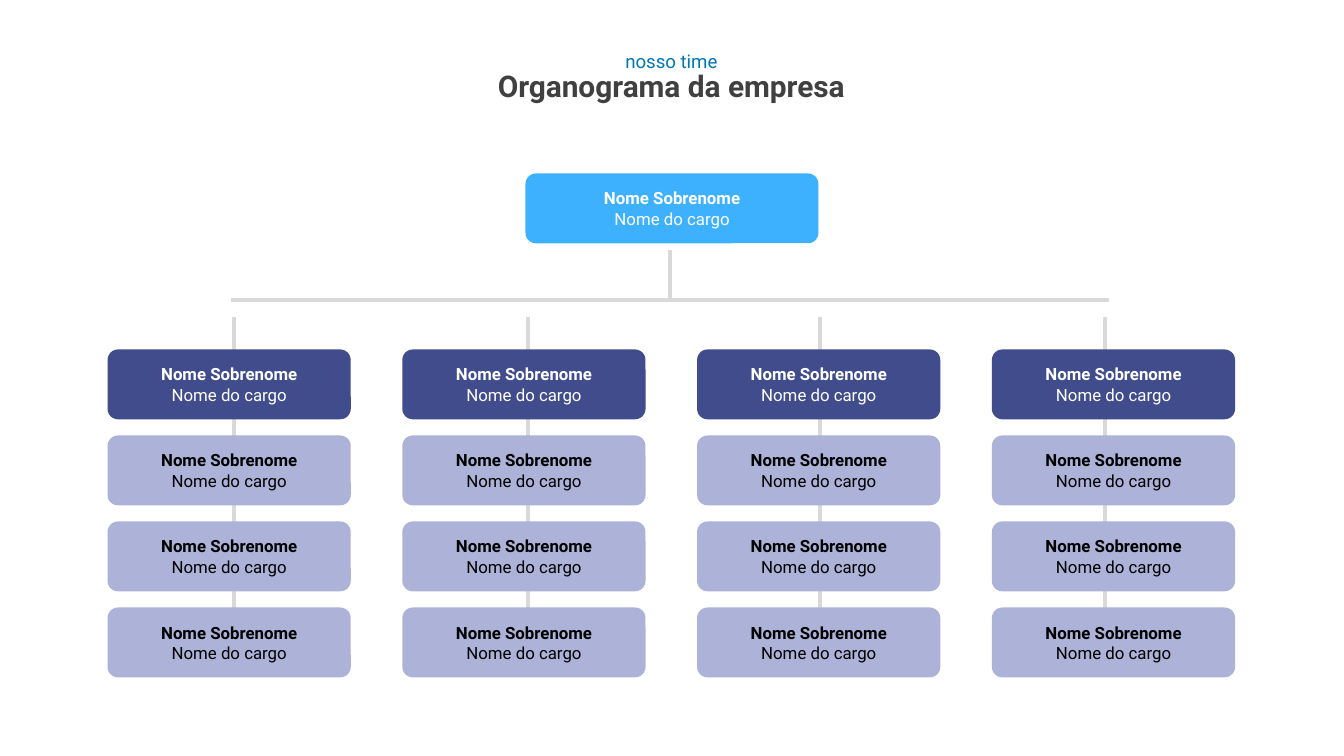
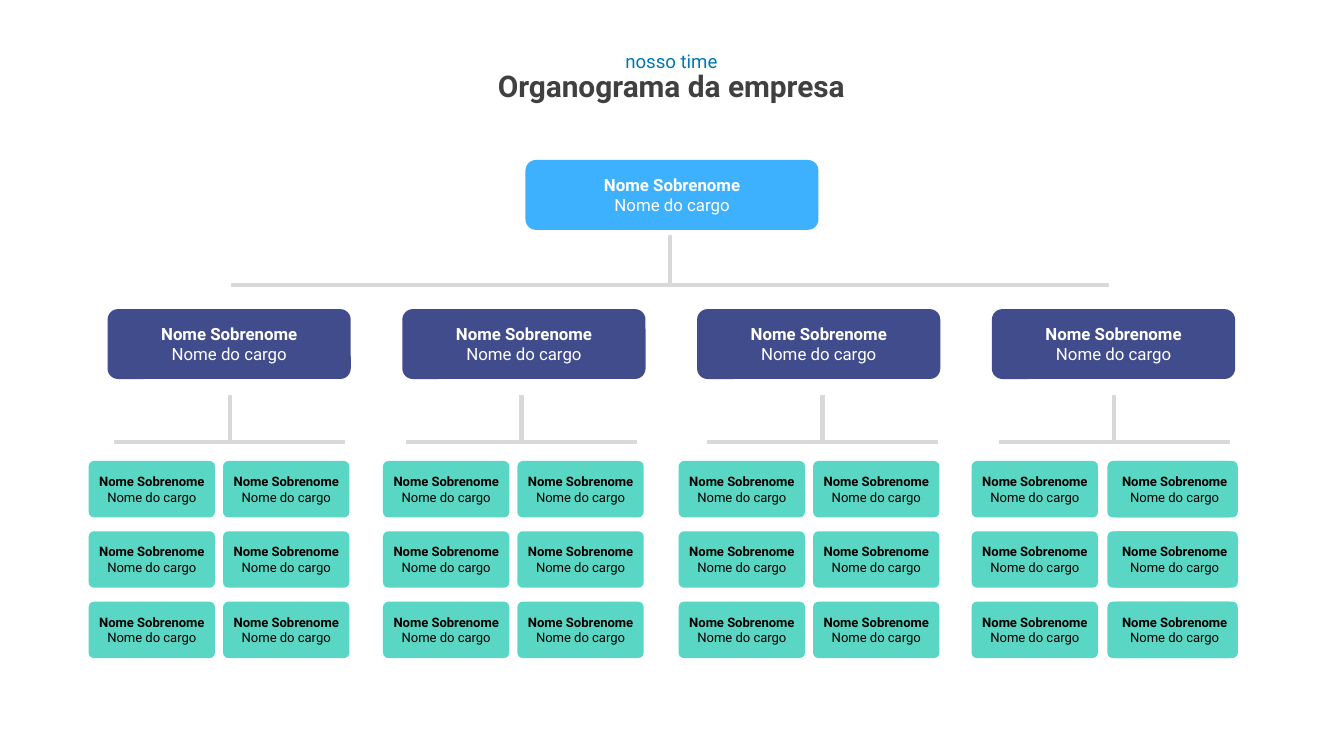
from collections import namedtuple
from dataclasses import dataclass

from lxml import etree
from pptx import Presentation
from pptx import util as u
from pptx.dml.color import RGBColor
from pptx.enum import shapes, text
from pptx.oxml.ns import qn

Box = namedtuple("Box", "x y w h")
Style = namedtuple("Style", "fill color size radius")


@dataclass(frozen=True)
class Theme:
    """Fonts, colours, type sizes and card styles of the deck."""
    font: str = "Roboto"
    title: str = "404040"
    kicker: str = "0077B5"
    line: str = "D9D9D9"
    line_width: float = 2.25
    title_size: int = 16
    kicker_size: int = 10
    chief: Style = Style("3DB1FE", "FFFFFF", 9, 0.15)
    manager: Style = Style("414C8C", "FFFFFF", 9, 0.15)
    report: Style = Style("ACB2D8", "000000", 9, 0.15)
    member: Style = Style("5AD7C4", "000000", 7, 0.096)


T = Theme()
CHIEF_X, CHIEF_W = 3.91, 2.18
MANAGER_X, MANAGER_W, MANAGER_PITCH = 0.8, 1.81, 6.58 / 3
CARD_H = 0.52
REPORT_PITCH = 0.64
SPINE_XS = (1.74, 3.93, 6.1, 8.22)
BRACKET_XS = (0.85, 3.02, 5.26, 7.43)
TEAM_XS = (0.66, 2.85, 5.05, 7.23)
TEAM_PITCHES = (1, 1, 1, 1.04)
BACKING_SHIFT = 0.03


def inches(*values):
    """Convert numbers to lengths."""
    return [u.Inches(v) for v in values]


def write(p, content, size, color, bold=False):
    """Write one centred, formatted run into a paragraph."""
    p.alignment = text.PP_ALIGN.CENTER
    r = p.add_run()
    r.text = content
    r.font.name, r.font.size, r.font.bold = T.font, u.Pt(size), bold
    r.font.color.rgb = RGBColor.from_string(color)


def line(container, x1, y1, x2, y2):
    """Draw a straight grey line."""
    cx = container.add_connector(shapes.MSO_CONNECTOR.STRAIGHT, *inches(x1, y1, x2, y2))
    cx.line.color.rgb = RGBColor.from_string(T.line)
    cx.line.width = u.Pt(T.line_width)
    etree.SubElement(cx._element.spPr, qn("a:effectLst"))


def plate(s, box, style):
    """Draw an empty rounded card."""
    sp = s.shapes.add_shape(shapes.MSO_SHAPE.ROUNDED_RECTANGLE, *inches(*box))
    sp.adjustments[0] = style.radius
    sp.shadow.inherit = False
    sp.fill.solid()
    sp.fill.fore_color.rgb = RGBColor.from_string(style.fill)
    sp.line.fill.background()
    return sp


def card(s, box, style):
    """Draw a card with a name and a job title."""
    tf = plate(s, box, style).text_frame
    tf.word_wrap = True
    tf.vertical_anchor = text.MSO_ANCHOR.MIDDLE
    tf.margin_left = tf.margin_right = tf.margin_top = tf.margin_bottom = 0
    write(tf.paragraphs[0], "Nome Sobrenome", style.size, style.color, bold=True)
    write(tf.add_paragraph(), "Nome do cargo", style.size, style.color)


def bracket(s, box):
    """Draw a grouped stem standing on the middle of a bar."""
    grp = s.shapes.add_group_shape().shapes
    middle, bottom = box.x + box.w / 2, box.y + box.h
    line(grp, box.x, bottom, box.x + box.w, bottom)
    line(grp, middle, box.y, middle, bottom)


def heading(s, box):
    """Place the title with its kicker above."""
    title = s.shapes.title
    title.left, title.top, title.width, title.height = inches(box.x, box.y + 0.13, box.w, 0.37)
    kicker = s.shapes.add_textbox(*inches(box.x + 0.96, box.y, 0.89, 0.27))
    for sp in (title, kicker):
        sp.text_frame.word_wrap = False
        sp.text_frame.auto_size = text.MSO_AUTO_SIZE.NONE
        sp.text_frame.vertical_anchor = text.MSO_ANCHOR.TOP
    write(title.text_frame.paragraphs[0], "Organograma da empresa",
          T.title_size, T.title, bold=True)
    write(kicker.text_frame.paragraphs[0], "nosso time", T.kicker_size, T.kicker)


def leadership(s, chief_y, bracket_y, managers_y):
    """Draw the chief, the bracket below and the row of managers."""
    card(s, Box(CHIEF_X, chief_y, CHIEF_W, CARD_H), T.chief)
    bracket(s, Box(1.72, bracket_y, 6.53, 0.37))
    for i in range(4):
        card(s, Box(MANAGER_X + i * MANAGER_PITCH, managers_y, MANAGER_W, CARD_H), T.manager)


def reports(s, box):
    """Stack three report cards down from the top of the box."""
    for row in range(3):
        card(s, Box(box.x, box.y + row * REPORT_PITCH, box.w, CARD_H), T.report)


def team(s, box, pitch):
    """Fill the box with two columns of three members, backing the shifted ones."""
    for row in range(3):
        for col in range(2):
            member = Box(box.x + col * pitch, box.y + row * box.h / 3, 0.94, 0.42)
            if col and pitch > 1:
                plate(s, member._replace(x=member.x - BACKING_SHIFT), T.member)
            card(s, member, T.member)


def new_slide(prs):
    """Add a slide with the shared heading."""
    s = prs.slides.add_slide(prs.slide_layouts[5])
    heading(s, Box(3.59, 0.32, 2.81, 0.5))
    return s


def column_slide(prs):
    """Build the chart with one column of reports per manager."""
    s = new_slide(prs)
    for x in SPINE_XS:
        line(s.shapes, x, 2.36, x, 4.71)
    leadership(s, 1.29, 1.86, 2.6)
    for i in range(4):
        reports(s, Box(MANAGER_X + i * MANAGER_PITCH, 3.24, MANAGER_W, 1.8))


def team_slide(prs):
    """Build the chart with a grid of members per manager."""
    s = new_slide(prs)
    leadership(s, 1.19, 1.75, 2.3)
    for bracket_x, team_x, pitch in zip(BRACKET_XS, TEAM_XS, TEAM_PITCHES):
        bracket(s, Box(bracket_x, 2.94, 1.72, 0.35))
        team(s, Box(team_x, 3.43, 1.94, 1.57), pitch)


def main():
    """Build and save the deck."""
    prs = Presentation()
    prs.slide_width = u.Inches(10)
    prs.slide_height = prs.slide_width * 9 // 16
    column_slide(prs)
    team_slide(prs)
    prs.save("out.pptx")


if __name__ == "__main__":
    main()
